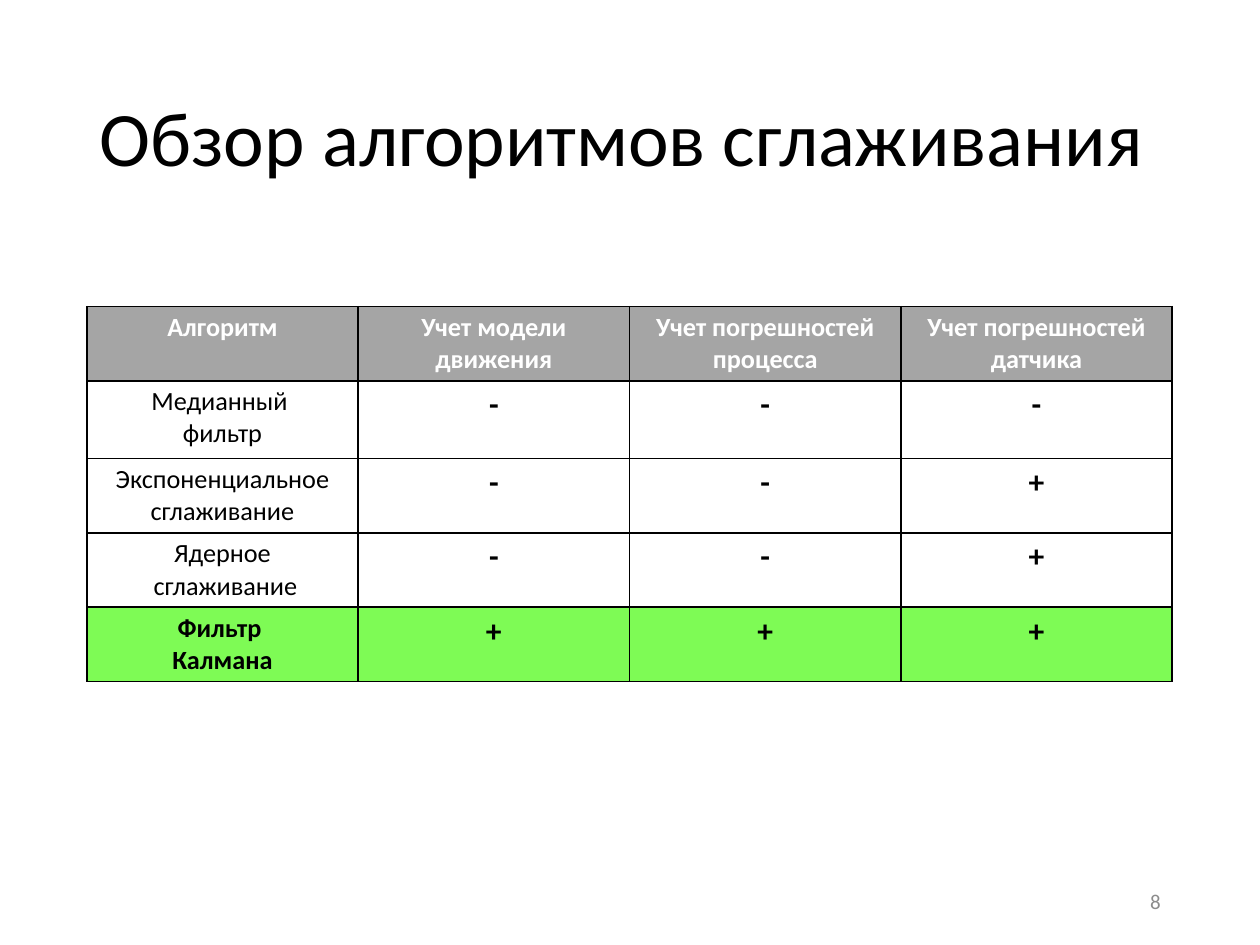
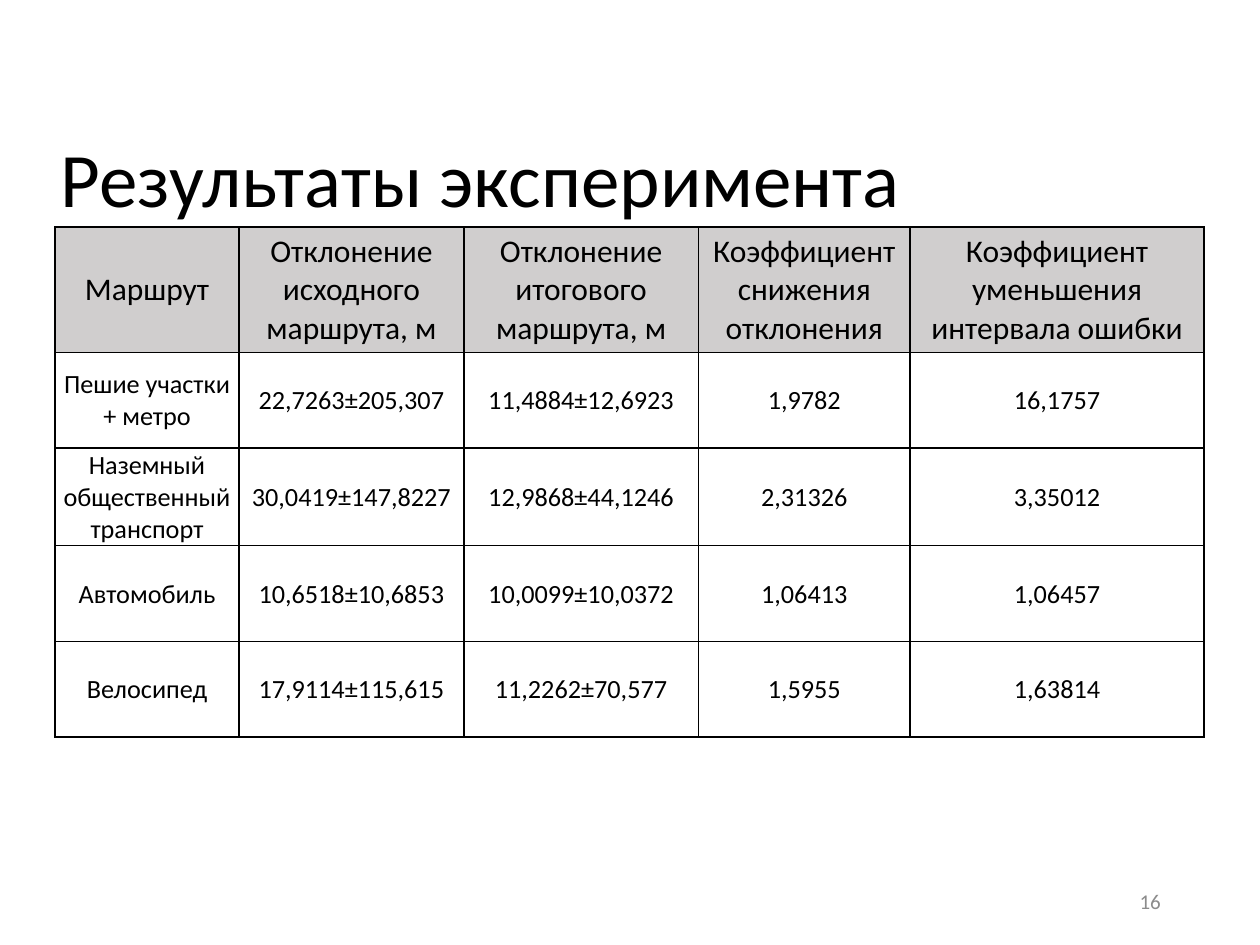
import pptx
import pptx.dml.color
import pptx.enum.text
import pptx.oxml
import pptx.oxml.ns
import pptx.util

Cm = pptx.util.Cm
Align = pptx.enum.text.PP_ALIGN
Anchor = pptx.enum.text.MSO_ANCHOR

FONT = "Calibri"
BLACK, WHITE, NUMBER_GRAY = "000000", "FFFFFF", "8C8C8C"
HEADER_GRAY, HEADER_LIGHT, BEST_GREEN = "A5A5A5", "D0CECE", "7EFB55"


def color(value):
    return pptx.dml.color.RGBColor.from_string(value)


def format_text(frame, size, text_color=BLACK, bold=False, align=Align.CENTER):
    """Give every paragraph of the frame the same font and alignment."""
    values = {"name": FONT, "size": pptx.util.Pt(size), "bold": bold}
    for paragraph in frame.paragraphs:
        paragraph.alignment = align
        for run in paragraph.runs:
            for name, value in values.items():
                setattr(run.font, name, value)
            run.font.color.rgb = color(text_color)


WIDE_MARGINS = {"margin_left": Cm(0.18), "margin_right": Cm(0.18),
                "margin_top": Cm(0.1), "margin_bottom": Cm(0.1)}
NARROW_MARGINS = {"margin_left": Cm(0.02), "margin_right": Cm(0.02),
                  "margin_top": Cm(0.02), "margin_bottom": 0}

# Cell styles: fill, text (size, colour, bold), anchor, margins
algorithm_header = (HEADER_GRAY, (15, WHITE, True), Anchor.TOP, WIDE_MARGINS)
algorithm_name = (WHITE, (15,), Anchor.TOP, WIDE_MARGINS)
algorithm_mark = (WHITE, (18, BLACK, True), Anchor.TOP, WIDE_MARGINS)
best_name = (BEST_GREEN, (15, BLACK, True), Anchor.TOP, WIDE_MARGINS)
best_mark = (BEST_GREEN, (18, BLACK, True), Anchor.TOP, WIDE_MARGINS)
route_header = (HEADER_LIGHT, (18,), Anchor.MIDDLE, WIDE_MARGINS)
route_value = (None, (15,), Anchor.MIDDLE, NARROW_MARGINS)

# Row styles: first column, other columns
algorithm_styles = [(algorithm_header, algorithm_header)]
algorithm_styles += [(algorithm_name, algorithm_mark)] * 3
algorithm_styles += [(best_name, best_mark)]
route_styles = [(route_header, route_header)] + [(route_value, route_value)] * 4

slides = [
    {
        "title": "Обзор алгоритмов сглаживания",
        "title_box": (1.75, 1.01, 21.9, 3.68),
        "number": "8",
        "table_position": (1.75, 6.18),
        "columns": [5.47] * 4,
        "rows": [1.45, 1.57, 1.45, 1.45, 1.45],
        "styles": algorithm_styles,
        "cells": [
            ["Алгоритм", "Учет модели\nдвижения",
             "Учет погрешностей процесса", "Учет погрешностей датчика"],
            ["Медианный \nфильтр", "-", "-", "-"],
            ["Экспоненциальное сглаживание", "-", "-", "+"],
            ["Ядерное\n сглаживание", "-", "-", "+"],
            ["Фильтр \nКалмана", "+", "+", "+"],
        ],
    },
    {
        "title": "Результаты эксперимента",
        "title_box": (0.97, 2.29, 21.9, 2.77),
        "number": "16",
        "table_position": (1.11, 4.58),
        "columns": [3.71, 4.53, 4.73, 4.27, 5.92],
        "rows": [2.47] + [1.93] * 4,
        "styles": route_styles,
        "cells": [
            ["Маршрут", "Отклонение исходного маршрута, м",
             "Отклонение итогового маршрута, м",
             "Коэффициент снижения отклонения",
             "Коэффициент уменьшения интервала ошибки"],
            ["Пешие участки + метро", "22,7263±205,307", "11,4884±12,6923",
             "1,9782", "16,1757"],
            ["Наземный общественный транспорт", "30,0419±147,8227",
             "12,9868±44,1246", "2,31326", "3,35012"],
            ["Автомобиль", "10,6518±10,6853", "10,0099±10,0372",
             "1,06413", "1,06457"],
            ["Велосипед", "17,9114±115,615", "11,2262±70,577",
             "1,5955", "1,63814"],
        ],
    },
]

presentation = pptx.Presentation()
presentation.slide_width, presentation.slide_height = Cm(25.4), Cm(19.05)

for content in slides:
    slide = presentation.slides.add_slide(presentation.slide_layouts[5])

    title = slide.shapes.title
    title.left, title.top, title.width, title.height = map(Cm, content["title_box"])
    title.text_frame.text = content["title"]
    title.text_frame.vertical_anchor = Anchor.MIDDLE
    title.text_frame.paragraphs[0].line_spacing = 0.9
    format_text(title.text_frame, 44, align=Align.LEFT)

    left, top = content["table_position"]
    columns, rows = content["columns"], content["rows"]
    table = slide.shapes.add_table(
        len(rows), len(columns), Cm(left), Cm(top),
        Cm(sum(columns)), Cm(sum(rows))).table
    table.first_row = table.horz_banding = False
    for column, width in zip(table.columns, columns):
        column.width = Cm(width)
    for row, height in zip(table.rows, rows):
        row.height = Cm(height)

    for row, texts, row_styles in zip(table.rows, content["cells"], content["styles"]):
        for index, (cell, text) in enumerate(zip(row.cells, texts)):
            fill, text_format, anchor, margins = row_styles[min(index, 1)]
            cell.text = text
            cell.vertical_anchor = anchor
            for name, value in margins.items():
                setattr(cell, name, value)
            format_text(cell.text_frame, *text_format)
            properties = cell._tc.get_or_add_tcPr()
            for side in "LRTB":
                properties.append(pptx.oxml.parse_xml(
                    f'<a:ln{side} {pptx.oxml.ns.nsdecls("a")} w="12700"><a:solidFill>'
                    f'<a:srgbClr val="{BLACK}"/></a:solidFill></a:ln{side}>'))
            if fill:
                cell.fill.solid()
                cell.fill.fore_color.rgb = color(fill)
            else:
                cell.fill.background()

    number = slide.shapes.add_textbox(Cm(17.93), Cm(17.65), Cm(5.72), Cm(1.02))
    number.text_frame.word_wrap = True
    number.text_frame.vertical_anchor = Anchor.MIDDLE
    number.text_frame.text = content["number"]
    format_text(number.text_frame, 12, NUMBER_GRAY, align=Align.RIGHT)

presentation.save("out.pptx")
